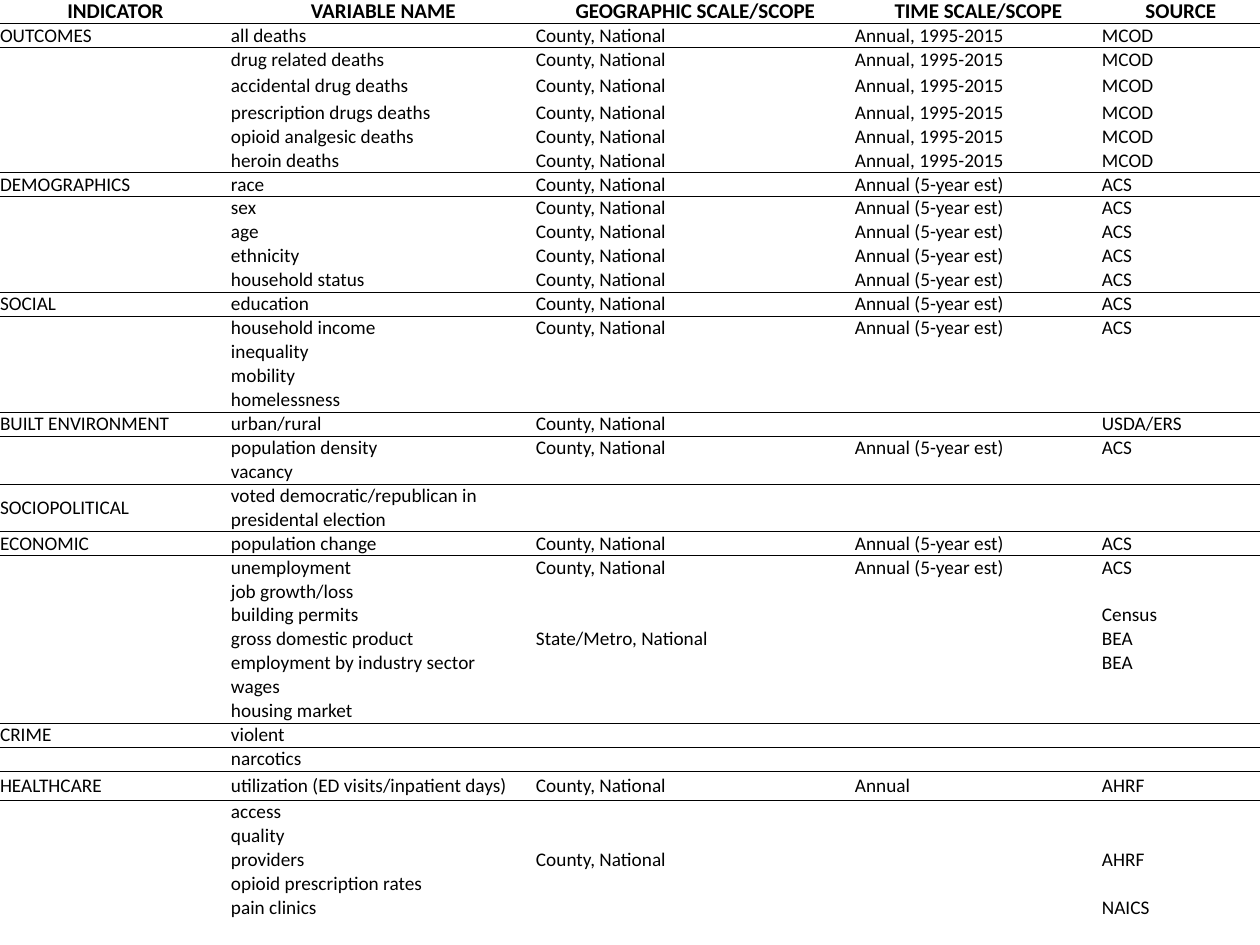
"""Build the slide listing overdose indicators with their variables, scales and sources."""
from dataclasses import dataclass

from lxml import etree
from pptx import Presentation
from pptx.dml.color import RGBColor
from pptx.enum.text import MSO_ANCHOR, PP_ALIGN
from pptx.oxml.ns import qn
from pptx.table import Table, _Cell
from pptx.util import Pt

MIDDLE = MSO_ANCHOR.MIDDLE
CENTER = PP_ALIGN.CENTER
LEFT = PP_ALIGN.LEFT

BLACK = RGBColor(0x00, 0x00, 0x00)
FONT = "Calibri"
PLAIN_STYLE = "{2D5ABB26-0587-4C30-8999-92F81FD0307C}"
BODY_SIZE = Pt(11)
HEADER_SIZE = Pt(12)
HEADER_RULE = Pt(1)
GROUP_RULE = Pt(0.5)

SLIDE_WIDTH, SLIDE_HEIGHT = 1260, 945
TABLE_TOP = -2
COLUMN_WIDTHS = (231, 305, 319, 247, 158)
ROW_HEIGHT = 24
TALL_ROW_HEIGHT = 29

HEADERS = ("INDICATOR", "VARIABLE NAME", "GEOGRAPHIC SCALE/SCOPE", "TIME SCALE/SCOPE", "SOURCE")
COUNTY = "County, National"
YEARS = "Annual, 1995-2015"
ESTIMATE = "Annual (5-year est)"


@dataclass(frozen=True)
class Variable:
    name: str
    geography: str = ""
    time: str = ""
    source: str = ""
    height: int = ROW_HEIGHT


@dataclass(frozen=True)
class Indicator:
    name: str
    variables: tuple[Variable, ...]


def death(name: str, height: int = ROW_HEIGHT) -> Variable:
    return Variable(name, COUNTY, YEARS, "MCOD", height)


def survey(name: str) -> Variable:
    return Variable(name, COUNTY, ESTIMATE, "ACS")


INDICATORS = (
    Indicator("OUTCOMES", (
        death("all deaths"),
        death("drug related deaths"),
        death("accidental drug deaths", TALL_ROW_HEIGHT),
        death("prescription drugs deaths"),
        death("opioid analgesic deaths"),
        death("heroin deaths"),
    )),
    Indicator("DEMOGRAPHICS", tuple(
        survey(name) for name in ("race", "sex", "age", "ethnicity", "household status")
    )),
    Indicator("SOCIAL", (
        survey("education"),
        survey("household income"),
        Variable("inequality"),
        Variable("mobility"),
        Variable("homelessness"),
    )),
    Indicator("BUILT ENVIRONMENT", (
        Variable("urban/rural", COUNTY, source="USDA/ERS"),
        survey("population density"),
        Variable("vacancy"),
    )),
    Indicator("SOCIOPOLITICAL", (
        Variable("voted democratic/republican in presidental election"),
    )),
    Indicator("ECONOMIC", (
        survey("population change"),
        survey("unemployment"),
        Variable("job growth/loss"),
        Variable("building permits", source="Census"),
        Variable("gross domestic product", "State/Metro, National", source="BEA"),
        Variable("employment by industry sector", source="BEA"),
        Variable("wages"),
        Variable("housing market"),
    )),
    Indicator("CRIME", (Variable("violent"), Variable("narcotics"))),
    Indicator("HEALTHCARE", (
        Variable("utilization (ED visits/inpatient days)", COUNTY, "Annual", "AHRF", TALL_ROW_HEIGHT),
        Variable("access"),
        Variable("quality"),
        Variable("providers", COUNTY, source="AHRF"),
        Variable("opioid prescription rates"),
        Variable("pain clinics", source="NAICS"),
    )),
)


def px(length: int) -> int:
    return round(length * 914400 / 126)


def write_cell(cell: _Cell, text: str, is_header: bool) -> None:
    cell.margin_left = cell.margin_right = cell.margin_top = cell.margin_bottom = 0
    cell.vertical_anchor = MIDDLE
    cell.fill.background()
    paragraph = cell.text_frame.paragraphs[0]
    paragraph.alignment = CENTER if is_header else LEFT
    font = paragraph.font
    font.name = FONT
    font.size = HEADER_SIZE if is_header else BODY_SIZE
    font.bold = is_header
    font.color.rgb = BLACK
    if text:
        paragraph.add_run().text = text
    else:
        paragraph._p.get_or_add_endParaRPr().set("sz", str(int(BODY_SIZE.pt * 100)))


def rule_cell(cell: _Cell, edge: str, width: int) -> None:
    border = etree.Element(qn(f"a:{edge}"), w=str(width))
    fill = etree.SubElement(border, qn("a:solidFill"))
    etree.SubElement(fill, qn("a:srgbClr"), val=str(BLACK))
    cell._tc.get_or_add_tcPr().insert(0, border)


def rule_below(table: Table, row: int, width: int) -> None:
    for column in range(len(COLUMN_WIDTHS)):
        rule_cell(table.cell(row, column), "lnB", width)
        rule_cell(table.cell(row + 1, column), "lnT", width)


def write_row(table: Table, row: int, texts: tuple[str, ...], height: int) -> None:
    table.rows[row].height = px(height)
    for column, text in enumerate(texts):
        write_cell(table.cell(row, column), text, is_header=row == 0)


def main() -> None:
    prs = Presentation()
    prs.slide_width, prs.slide_height = px(SLIDE_WIDTH), px(SLIDE_HEIGHT)
    slide = prs.slides.add_slide(prs.slide_layouts[6])

    row_count = 1 + sum(len(indicator.variables) for indicator in INDICATORS)
    table = slide.shapes.add_table(
        row_count, len(COLUMN_WIDTHS), 0, px(TABLE_TOP), px(SLIDE_WIDTH), px(row_count * ROW_HEIGHT)
    ).table
    table.first_row = table.horz_banding = False
    table._tbl.tblPr.find(qn("a:tableStyleId")).text = PLAIN_STYLE
    for column, width in zip(table.columns, COLUMN_WIDTHS):
        column.width = px(width)

    write_row(table, 0, HEADERS, ROW_HEIGHT)
    row = 0
    for indicator in INDICATORS:
        rule_below(table, row, GROUP_RULE if row else HEADER_RULE)
        for index, variable in enumerate(indicator.variables):
            row += 1
            label = "" if index else indicator.name
            texts = (label, variable.name, variable.geography, variable.time, variable.source)
            write_row(table, row, texts, variable.height)

    prs.save("out.pptx")


if __name__ == "__main__":
    main()
